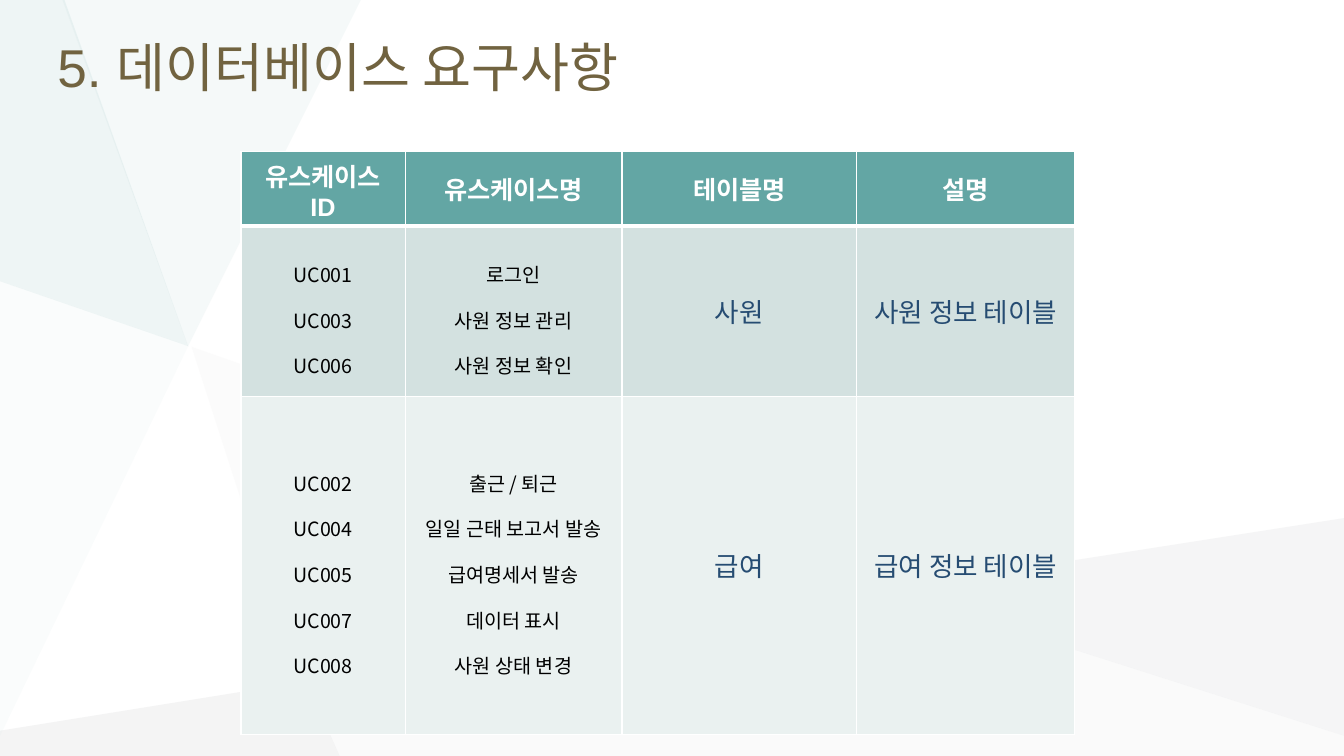
import pptx
import pptx.util
import pptx.dml.color
import pptx.enum.text
import pptx.oxml
import pptx.oxml.ns

COLORS = {
    "title": "716340", "white": "FFFFFF", "header": "63A6A4",
    "band": "D3E1E0", "light": "EAF1F0", "navy": "264C72", "black": "000000",
    "pale": "F3F2F2", "gray": "B6B8BA", "silver": "C6C8CA",
    "mist": "E0EDED", "mint": "C1DBDB",
}
COLUMNS, ROWS = 40, 22.5  # three grid cells to the inch
CENTER = pptx.enum.text.PP_ALIGN.CENTER
MIDDLE = pptx.enum.text.MSO_ANCHOR.MIDDLE
KOREAN = "Noto Sans CJK KR"


def rgb(name):
    return pptx.dml.color.RGBColor.from_string(COLORS[name])


def add_xml(parent, xml, index=None):
    head, rest = xml.split(" ", 1)
    element = pptx.oxml.parse_xml(f"{head} {pptx.oxml.ns.nsdecls('a')} {rest}")
    parent.insert(len(parent) if index is None else index, element)


class Deck:
    """Holds the grid, the text style and the current slide."""

    def __init__(self):
        self.prs = pptx.Presentation()
        self.prs.slide_width = pptx.util.Inches(COLUMNS / 3)
        self.prs.slide_height = pptx.util.Inches(ROWS / 3)
        self.s = self.prs.slides.add_slide(self.prs.slide_layouts[6])

    def grid(self, *lengths):
        return [round(n * self.prs.slide_width / COLUMNS) for n in lengths]

    def style(self, p, size, color, font="Arial", bold=False):
        for r in p.runs:
            r.font.size = pptx.util.Pt(size)
            r.font.name = font
            r.font.bold = bold
            r.font.color.rgb = rgb(color)
            add_xml(r.font._element, f'<a:ea typeface="{KOREAN}"/>')

    def facet(self, color, alpha, points):
        start, *others = [self.grid(*point) for point in points]
        builder = self.s.shapes.build_freeform(*start)
        builder.add_line_segments(others, close=True)
        sp = builder.convert_to_shape()
        sp.shadow.inherit = False
        sp.line.fill.background()
        sp.fill.solid()
        sp.fill.fore_color.rgb = rgb(color)
        fill = sp._element.spPr.find(pptx.oxml.ns.qn("a:solidFill"))
        add_xml(fill[0], f'<a:alpha val="{alpha * 1000}"/>')

    def title(self, text, box):
        tf = self.s.shapes.add_textbox(*self.grid(*box)).text_frame
        tf.word_wrap = True
        tf.vertical_anchor = MIDDLE
        tf.text = text
        self.style(tf.paragraphs[0], 38, "title")

    def borders(self, cell, **widths):
        for i, (side, width) in enumerate(widths.items()):
            add_xml(cell._tc.get_or_add_tcPr(),
                    f'<a:ln{side} w="{pptx.util.Pt(width)}"><a:solidFill>'
                    f'<a:srgbClr val="{COLORS["white"]}"/></a:solidFill></a:ln{side}>', i)

    def cell(self, cell, text, fill, spacing=None, **font):
        cell.text = text
        cell.vertical_anchor = MIDDLE
        cell.fill.solid()
        cell.fill.fore_color.rgb = rgb(fill)
        for p in cell.text_frame.paragraphs:
            p.alignment = CENTER
            if spacing:
                p.line_spacing = spacing
            self.style(p, **font)

    def table(self, left, top, widths, heights, header, body):
        box = self.grid(left, top, sum(widths), sum(heights))
        table = self.s.shapes.add_table(len(heights), len(widths), *box).table
        for column, width in zip(table.columns, self.grid(*widths)):
            column.width = width
        for row, height in zip(table.rows, self.grid(*heights)):
            row.height = height
        for i, text in enumerate(header):
            cell = table.cell(0, i)
            self.cell(cell, text, "header", size=18, color="white", bold=True)
            self.borders(cell, L=1, R=1, T=1, B=3)
        for j, (fill, texts) in enumerate(zip(("band", "light"), body), 1):
            for i, text in enumerate(texts):
                cell = table.cell(j, i)
                if i < 2:
                    self.cell(cell, text, fill, 1.6, size=14, color="black", font=KOREAN)
                else:
                    self.cell(cell, text, fill, size=19, color="navy")
                self.borders(cell, L=1, R=1, T=3 if j == 1 else 1, B=1)


def main():
    deck = Deck()
    hub, right, low = (5.6, 10.3), (26.37, 17.55), (9.12, 20.28)
    deck.facet("pale", 26, [(5.7, 10.32), (7.23, 15.06), low, right])
    deck.facet("gray", 15, [low, (0, 21.75), (0, ROWS), (10.11, ROWS)])
    deck.facet("mist", 31, [(10.74, 0), (1.86, 0), hub])
    deck.facet("silver", 17, [(COLUMNS, 15.42), right, (COLUMNS, 21.9)])
    deck.facet("gray", 6, [right, low, (10.11, ROWS), (COLUMNS, ROWS), (COLUMNS, 21.9)])
    deck.facet("mint", 27, [(1.92, 0), (0, 0), (0, 8.37), hub])
    deck.facet("mint", 8, [(0, 8.37), (0, 21.9), hub])

    deck.title("5. 데이터베이스 요구사항", (1.41, 0.42, 37.08, 3.09))
    deck.table(
        7.17, 4.52, (4.89, 6.45, 6.99, 6.48), (2.2, 5.08, 10.05),
        ("유스케이스\vID", "유스케이스명", "테이블명", "설명"),
        [
            ("UC001\nUC003\nUC006",
             "로그인\n사원 정보 관리\n사원 정보 확인",
             "사원", "사원 정보 테이블"),
            ("UC002\nUC004\nUC005\nUC007\nUC008",
             "출근 / 퇴근\n일일 근태 보고서 발송\n급여명세서 발송\n데이터 표시\n사원 상태 변경",
             "급여", "급여 정보 테이블"),
        ],
    )
    deck.prs.save("out.pptx")


if __name__ == "__main__":
    main()
